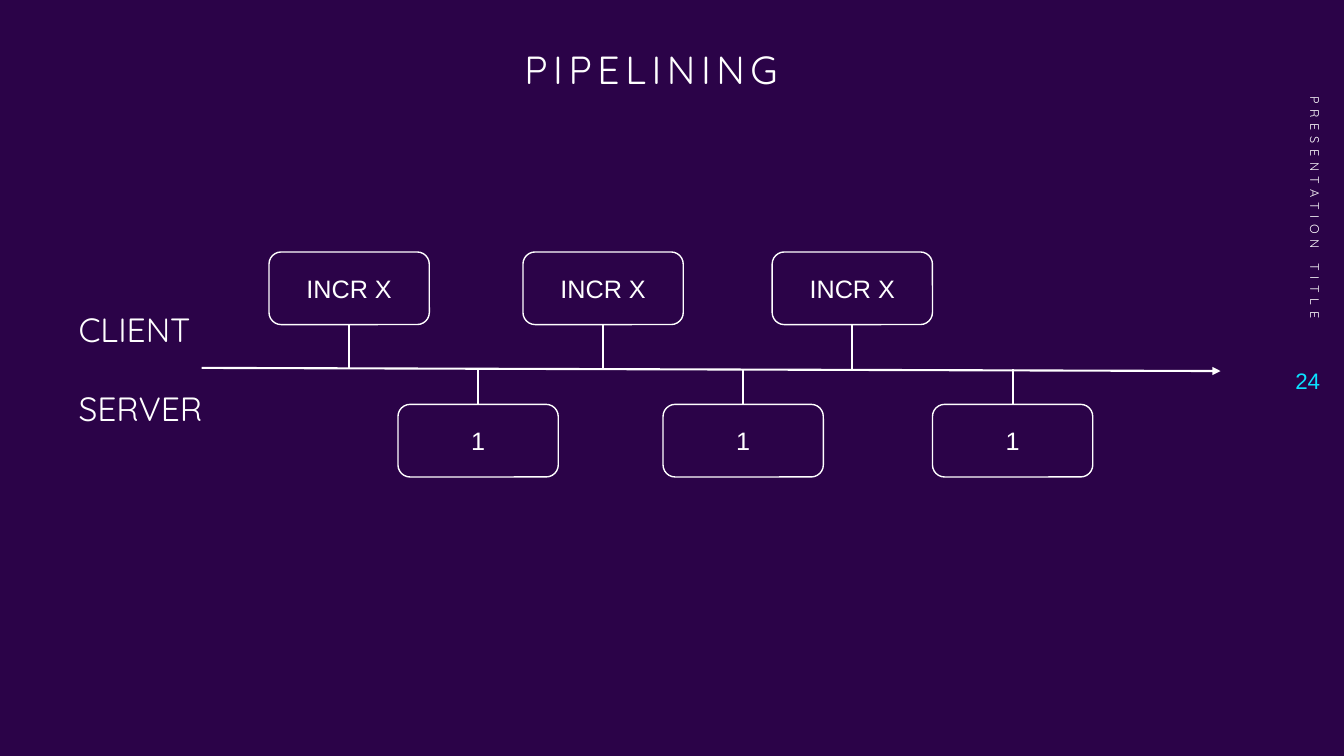
from lxml import etree
from pptx import Presentation
from pptx.dml.color import RGBColor
from pptx.enum.shapes import MSO_CONNECTOR, MSO_SHAPE
from pptx.enum.text import MSO_ANCHOR, MSO_AUTO_SIZE, PP_ALIGN
from pptx.oxml.ns import qn
from pptx.util import Cm, Pt

ROUND = MSO_SHAPE.ROUNDED_RECTANGLE
LINE = MSO_CONNECTOR.STRAIGHT
TOP, MIDDLE = MSO_ANCHOR.TOP, MSO_ANCHOR.MIDDLE
LEFT, MID, RIGHT = PP_ALIGN.LEFT, PP_ALIGN.CENTER, PP_ALIGN.RIGHT
PURPLE, WHITE, CYAN = "2B0348", "FFFFFF", "0BE1FF"
BOX_W, BOX_H = 4.04, 1.83
AXIS_Y = 9.3


def rgb(code):
    return RGBColor.from_string(code)


def write(shape, lines, size, font, color=WHITE, align=LEFT, anchor=TOP, gap=0, track=0):
    frame = shape.text_frame
    frame.auto_size = MSO_AUTO_SIZE.NONE
    frame.word_wrap = True
    frame.vertical_anchor = anchor
    frame.text = "\n".join(lines)
    for i, para in enumerate(frame.paragraphs):
        para.alignment = align
        if i:
            para.space_before = Pt(gap)
        para.font.size = Pt(size)
        para.font.name = font
        para.font.color.rgb = rgb(color)
        if track:
            para.runs[0].font._element.set("spc", str(track * 100))


def label(slide, x, y, w, h, lines, size, font, **style):
    box = slide.shapes.add_textbox(Cm(x), Cm(y), Cm(w), Cm(h))
    write(box, lines, size, font, **style)
    return box


def title(slide, text):
    box = slide.shapes.title
    box.left, box.top, box.width, box.height = Cm(8.69), Cm(1.14), Cm(15.44), Cm(1.57)
    write(box, [text], 28, "Quicksand", align=MID, track=4)
    box.text_frame.paragraphs[0].line_spacing = 0.9


def card(slide, x, y, text):
    box = slide.shapes.add_shape(ROUND, Cm(x), Cm(y), Cm(BOX_W), Cm(BOX_H))
    box.shadow.inherit = False
    box.fill.solid()
    box.fill.fore_color.rgb = rgb(PURPLE)
    box.line.color.rgb = rgb(WHITE)
    box.line.width = Pt(1)
    write(box, [text], 18, "Arial", align=MID, anchor=MIDDLE)
    return box


def line(slide, x1, y1, x2, y2):
    link = slide.shapes.add_connector(LINE, Cm(x1), Cm(y1), Cm(x2), Cm(y2))
    link.line.color.rgb = rgb(WHITE)
    link.line.width = Pt(1.5)
    etree.SubElement(link._element.spPr, qn("a:effectLst"))
    return link


def arrow(slide, x1, y1, x2, y2):
    link = line(slide, x1, y1, x2, y2)
    tail = etree.SubElement(link.line._get_or_add_ln(), qn("a:tailEnd"))
    tail.set("type", "triangle")


def row(slide, lefts, y, text, side):
    for x in lefts:
        box = card(slide, x, y, text)
        mid = x + BOX_W / 2
        stem = line(slide, mid, y, mid, AXIS_Y)
        stem.begin_connect(box, side)


def main():
    deck = Presentation()
    deck.slide_width, deck.slide_height = Cm(33.87), Cm(19.05)
    slide = deck.slides.add_slide(deck.slide_layouts[5])
    slide.background.fill.solid()
    slide.background.fill.fore_color.rgb = rgb(PURPLE)

    title(slide, "PIPELINING")
    side = label(slide, 29.29, 3.91, 7.7, 1.02, ["PRESENTATION TITLE"], 9, "Quicksand",
                 align=RIGHT, anchor=MIDDLE, track=4)
    side.rotation = 90
    label(slide, 32, 8.79, 1.52, 1.6, ["24"], 16, "Arial",
          color=CYAN, align=RIGHT, anchor=MIDDLE)

    row(slide, (6.78, 13.18, 19.46), 6.35, "INCR X", 2)
    row(slide, (10.03, 16.71, 23.5), 10.19, "1", 0)
    arrow(slide, 5.08, 9.27, 30.76, 9.35)
    label(slide, 1.73, 7.65, 7.62, 3.33, ["CLIENT", "SERVER"], 24, "Quicksand", gap=28)

    deck.save("out.pptx")


if __name__ == "__main__":
    main()
